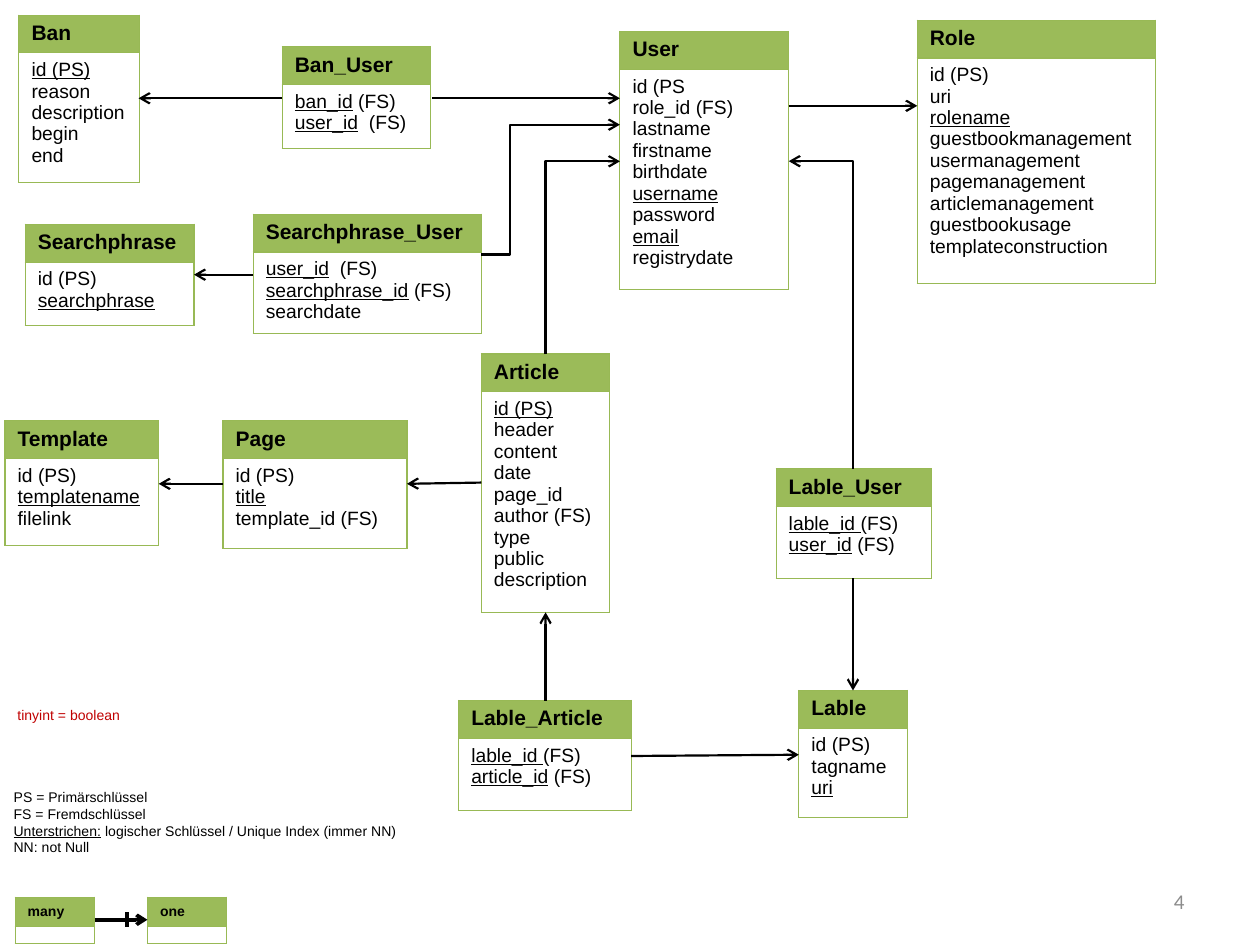
import pptx
import pptx.util
import pptx.dml.color
import pptx.enum.shapes
import pptx.enum.text
import pptx.oxml
from lxml import etree
from pptx.oxml.ns import qn
from dataclasses import dataclass

COLS, ROWS = 100, 75
CELL = pptx.util.Inches(10) // COLS
HEADER = 3
FONT = "Arial"
COLORS = {"header": "9BBB59", "border": "98B955", "text": "000000",
          "note": "C00000", "number": "8C8C8C"}
KIND = pptx.enum.shapes.MSO_CONNECTOR


@dataclass
class Entity:
    name: str
    col: float
    row: float
    width: float
    height: float
    fields: str = ""
    header: float = HEADER
    size: float = 12


@dataclass
class Link:
    x1: float
    y1: float
    x2: float
    y2: float
    weight: float = 1.25
    arrow: bool = True
    bend: float | None = None


@dataclass
class Note:
    lines: str
    col: float
    row: float
    width: float
    height: float
    size: float = 8
    color: str = "text"
    font: str = FONT
    wrap: bool = True
    number: bool = False


ENTITIES = [
    Entity("Ban_User", 22.4, 3.7, 11.8, 8.1, "*ban_id* (FS)|*user_id*  (FS)"),
    Entity("Ban", 1.5, 1.2, 9.6, 13.3, "*id (PS)*|reason|description|begin|end"),
    Entity("one", 11.7, 71.2, 6.3, 3.7, header=2.3, size=8),
    Entity("many", 1.2, 71.2, 6.3, 3.7, header=2.3, size=8),
    Entity("User", 49.2, 2.5, 13.4, 20.5,
           "id (PS|role_id (FS)|lastname|firstname|birthdate|*username*|password|*email*|registrydate"),
    Entity("Role", 72.8, 1.6, 18.9, 20.9,
           "id (PS)|uri|*rolename*|guestbookmanagement|usermanagement|pagemanagement"
           "|articlemanagement|guestbookusage|templateconstruction"),
    Entity("Article", 38.2, 28.1, 10.2, 20.5,
           "*id (PS)*|header|content|date|page_id|author (FS)|type|public|description"),
    Entity("Page", 17.7, 33.4, 14.6, 10.1, "id (PS)|*title*|template_id (FS)"),
    Entity("Template", 0.4, 33.4, 12.2, 9.9, "id (PS)|*templatename*|filelink"),
    Entity("Lable_User", 61.6, 37.2, 12.3, 8.7, "*lable_id *(FS)|*user_id* (FS)"),
    Entity("Lable_Article", 36.4, 55.6, 13.7, 8.7, "*lable_id *(FS)|*article_id* (FS)"),
    Entity("Lable", 63.4, 54.8, 8.6, 10.1, "id (PS)|tagname|*uri*"),
    Entity("Searchphrase_User", 20.1, 17, 18.1, 9.5,
           "*user_id*  (FS)|*searchphrase_id* (FS)|searchdate"),
    Entity("Searchphrase", 2, 17.8, 13.4, 8, "id (PS)|*searchphrase*"),
]

LINKS = [
    Link(7.5, 73, 11.7, 73, 2, bend=0.5),
    Link(10.1, 72.4, 10.1, 73.6, 2, arrow=False),
    Link(34.3, 7.8, 49.2, 7.8),
    Link(62.6, 8.4, 72.8, 8.4),
    Link(67.7, 45.9, 67.7, 54.8),
    Link(50.1, 60, 63.4, 59.9),
    Link(43.3, 55.6, 43.3, 48.6),
    Link(38.2, 38.3, 32.3, 38.4),
    Link(17.7, 38.4, 12.6, 38.4),
    Link(22.4, 7.8, 11, 7.8),
    Link(38.2, 20.2, 49.2, 9.9, bend=0.21),
    Link(20.1, 21.8, 15.4, 21.8),
]

RISERS = [Link(67.7, 37.2, 62.6, 12.8), Link(43.3, 28.1, 49.2, 12.8)]

NOTES = [
    Note("4", 71.7, 69.5, 23.3, 4, 12, "number", "Calibri", number=True),
    Note("PS = Primärschlüssel|FS = Fremdschlüssel"
         "|*Unterstrichen:* logischer Schlüssel / Unique Index (immer NN)|NN: not Null",
         0.1, 62.1, 33.5, 6.4),
    Note("tinyint = boolean", 0.4, 55.6, 10.6, 2.4, color="note", wrap=False),
]


def grid(n: float) -> int:
    return round(n * CELL)


def rgb(key: str) -> pptx.dml.color.RGBColor:
    return pptx.dml.color.RGBColor.from_string(COLORS[key])


def write(tf, lines: str, size: float, color: str = "text",
          font: str = FONT, bold: bool = False) -> None:
    for i, line in enumerate(lines.split("|")):
        p = tf.add_paragraph() if i else tf.paragraphs[0]
        p.font.size, p.font.name, p.font.bold = pptx.util.Pt(size), font, bold
        p.font.color.rgb = rgb(color)
        for j, part in enumerate(line.split("*")):
            if part:
                r = p.add_run()
                r.text = part
                if j % 2:
                    r.font.underline = True


def add_borders(cell) -> None:
    tcPr = cell._tc.get_or_add_tcPr()
    for i, side in enumerate(("lnL", "lnR", "lnT", "lnB")):
        ln = etree.Element(qn(f"a:{side}"), w=str(pptx.util.Pt(0.75)))
        fill = etree.SubElement(ln, qn("a:solidFill"))
        etree.SubElement(fill, qn("a:srgbClr"), val=COLORS["border"])
        tcPr.insert(i, ln)


def add_entity(s, e: Entity) -> None:
    box = map(grid, (e.col, e.row, e.width, e.height))
    table = s.shapes.add_table(2, 1, *box).table
    table.first_row = table.horz_banding = False
    table.rows[0].height = grid(e.header)
    table.rows[1].height = grid(e.height - e.header)
    head, body = table.cell(0, 0), table.cell(1, 0)
    head.fill.solid()
    head.fill.fore_color.rgb = rgb("header")
    body.fill.background()
    write(head.text_frame, e.name, e.size, bold=True)
    if e.fields:
        write(body.text_frame, e.fields, 11)
    else:
        body.margin_top = body.margin_bottom = 0
        p = body.text_frame.paragraphs[0]
        etree.SubElement(p._p, qn("a:endParaRPr"), sz="600")
    for cell in (head, body):
        add_borders(cell)


def add_link(s, k: Link):
    kind = KIND.STRAIGHT if k.bend is None else KIND.ELBOW
    sp = s.shapes.add_connector(kind, *map(grid, (k.x1, k.y1, k.x2, k.y2)))
    sp.line.width = pptx.util.Pt(k.weight)
    sp.line.color.rgb = rgb("text")
    spPr = sp._element.spPr
    if k.arrow:
        etree.SubElement(sp.line._get_or_add_ln(), qn("a:tailEnd"), type="arrow")
    if k.bend is not None:
        av = spPr.find(qn("a:prstGeom")).find(qn("a:avLst"))
        etree.SubElement(av, qn("a:gd"), name="adj1", fmla=f"val {round(k.bend * 100000)}")
    etree.SubElement(spPr, qn("a:effectLst"))
    return sp


def add_riser(s, k: Link) -> None:
    cx, cy = (k.x1 + k.x2) / 2, (k.y1 + k.y2) / 2
    half_w, half_h = (k.y1 - k.y2) / 2, (k.x2 - k.x1) / 2
    sp = add_link(s, Link(cx - half_w, cy - half_h, cx + half_w, cy + half_h, bend=0.5))
    geom = sp._element.spPr.find(qn("a:prstGeom"))
    geom.set("prst", "bentConnector2")
    geom.find(qn("a:avLst")).clear()
    sp._element.spPr.find(qn("a:xfrm")).set("rot", str(270 * 60000))


def add_note(s, n: Note) -> None:
    tf = s.shapes.add_textbox(*map(grid, (n.col, n.row, n.width, n.height))).text_frame
    tf.word_wrap = n.wrap
    write(tf, n.lines, n.size, n.color, n.font)
    if n.number:
        tf.vertical_anchor = pptx.enum.text.MSO_ANCHOR.MIDDLE
        tf.paragraphs[0].alignment = pptx.enum.text.PP_ALIGN.RIGHT


def main() -> None:
    prs = pptx.Presentation()
    prs.slide_width, prs.slide_height = grid(COLS), grid(ROWS)
    s = prs.slides.add_slide(prs.slide_layouts[6])
    for draw, items in ((add_entity, ENTITIES), (add_link, LINKS),
                        (add_riser, RISERS), (add_note, NOTES)):
        for item in items:
            draw(s, item)
    prs.save("out.pptx")


if __name__ == "__main__":
    main()
